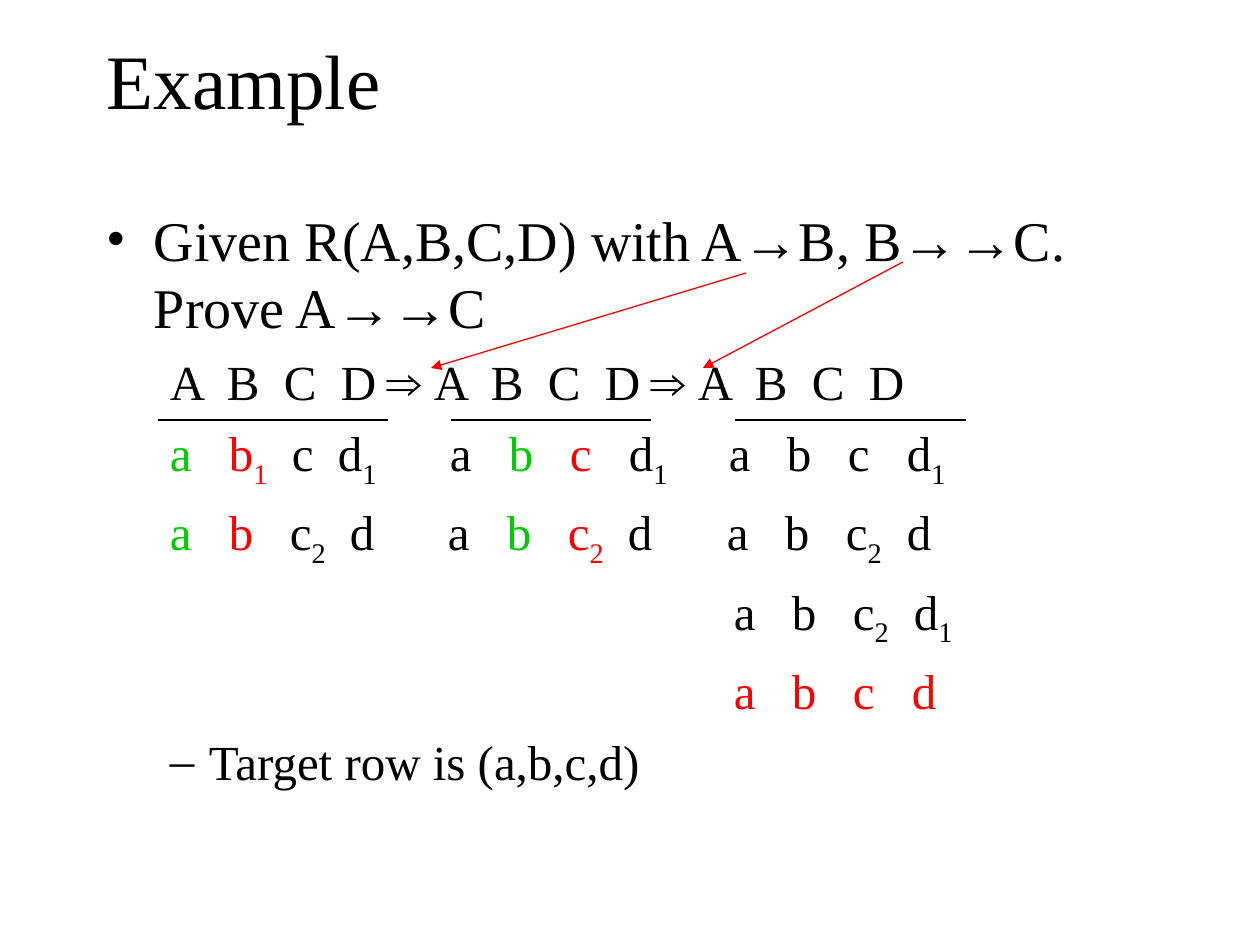
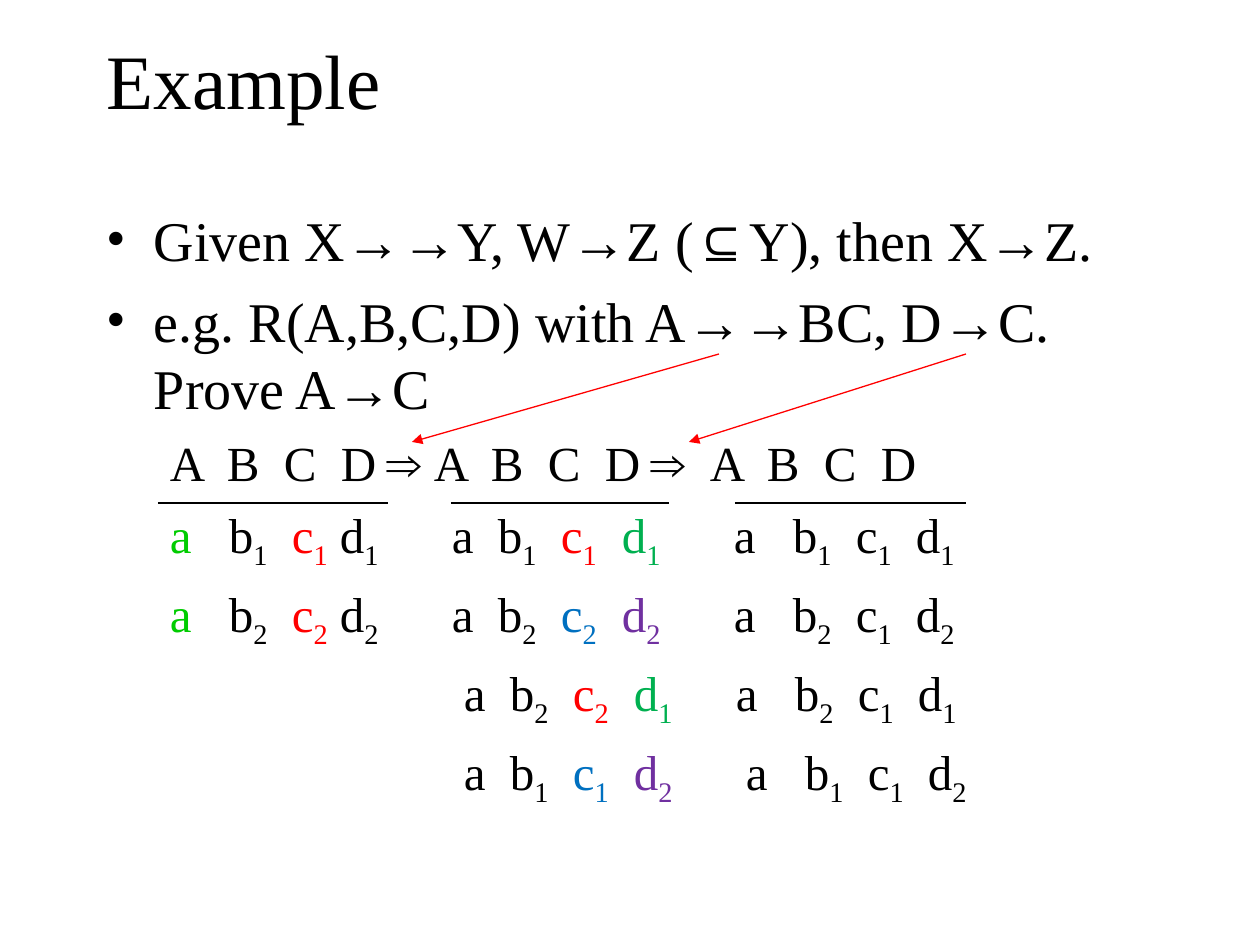
from itertools import groupby

from lxml.etree import SubElement
from pptx import Presentation
from pptx.dml.color import RGBColor
from pptx.enum.shapes import MSO_CONNECTOR
from pptx.enum.text import MSO_ANCHOR
from pptx.oxml.ns import qn
from pptx.util import Emu, Pt

# Lengths are whole px, 126 to the inch
PX = 914400 // 126
SLIDE_W, SLIDE_H = 1260, 945
BOX_LEFT, BOX_W = 95, 1071
TITLE_TOP, TITLE_H = 0, 158
BODY_TOP, BODY_H = 199, 640
INSET_X, INSET_Y = 12, 6

BLACK = RGBColor(0x00, 0x00, 0x00)
RED = RGBColor(0xFF, 0x00, 0x00)
LIME = RGBColor(0x00, 0xCC, 0x00)
GREEN = RGBColor(0x00, 0xB0, 0x50)
BLUE = RGBColor(0x00, 0x70, 0xC0)
PURPLE = RGBColor(0x70, 0x30, 0xA0)
HUES = {"": BLACK, "r": RED, "l": LIME, "g": GREEN, "b": BLUE, "p": PURPLE}

TEXT_FONT, SYMBOL_FONT = "Times New Roman", "Arial"
SYMBOLS = "→⇒⊆"
TITLE_PT, POINT_PT, ROW_PT = 44, 32, 28

# Column offsets inside a tableau
HEADING_COLS = (0, 57, 114, 171, 217)
ROW_COLS = (0, 59, 122, 182)


def px(length):
    return Emu(length * PX)


def add_runs(para, text, size, color=BLACK, subscript=False):
    """Add text to a paragraph, with symbols in their own font."""
    for is_symbol, chars in groupby(text, lambda char: char in SYMBOLS):
        run = para.add_run()
        run.text = "".join(chars)
        run.font.name = SYMBOL_FONT if is_symbol else TEXT_FONT
        run.font.size = Pt(size)
        run.font.color.rgb = color
        if subscript:
            run.font._element.set("baseline", "-25000")


def add_frame(slide, top, height, anchor):
    box = slide.shapes.add_textbox(px(BOX_LEFT), px(top), px(BOX_W), px(height))
    frame = box.text_frame
    frame.word_wrap = True
    frame.vertical_anchor = anchor
    frame.margin_left = frame.margin_right = px(INSET_X)
    frame.margin_top = frame.margin_bottom = px(INSET_Y)
    return frame


def next_para(frame, space_before):
    first = frame.paragraphs[0]
    para = frame.add_paragraph() if first.runs else first
    para.space_before = Pt(space_before)
    return para


def add_bullet(frame, text, mark, size, space_before, margin, hang):
    para = next_para(frame, space_before)
    props = para._p.get_or_add_pPr()
    props.set("marL", str(px(margin)))
    props.set("indent", str(px(-hang)))
    mark_color = SubElement(props, qn("a:buClr"))
    SubElement(mark_color, qn("a:srgbClr"), val=str(BLACK))
    SubElement(props, qn("a:buFont"), typeface=TEXT_FONT)
    SubElement(props, qn("a:buChar"), char=mark)
    add_runs(para, text, size)


def add_point(frame, text):
    add_bullet(frame, text, "•", POINT_PT, 8, 47, 47)


def add_subpoint(frame, text):
    add_bullet(frame, text, "–", ROW_PT, 7, 102, 39)


def add_row(frame, *tableaux):
    """Each tableau is (left, columns, cells); a cell is letter, index, .hue."""
    para = next_para(frame, 7)
    props = para._p.get_or_add_pPr()
    SubElement(props, qn("a:buNone"))
    stops = SubElement(props, qn("a:tabLst"))
    for left, columns, cells in tableaux:
        for offset, cell in zip(columns, cells.split()):
            stop = left + offset - BOX_LEFT - INSET_X
            SubElement(stops, qn("a:tab"), pos=str(px(stop)), algn="l")
            name, _, hue = cell.partition(".")
            add_runs(para, "\t" + name[0], ROW_PT, HUES[hue])
            if name[1:]:
                add_runs(para, name[1:], ROW_PT, HUES[hue], subscript=True)


def add_headings(frame, lefts):
    arrows = (" ⇒", " ⇒", "")
    add_row(frame, *((left, HEADING_COLS, "A B C D" + arrow)
                     for left, arrow in zip(lefts, arrows)))


def add_line(slide, start, end, color, arrow=False):
    line = slide.shapes.add_connector(
        MSO_CONNECTOR.STRAIGHT, *(px(value) for value in (*start, *end)))
    line.line.color.rgb = color
    line.line.width = Pt(0.75)
    if arrow:
        SubElement(line.line._get_or_add_ln(), qn("a:tailEnd"), type="triangle")
    SubElement(line._element.spPr, qn("a:effectLst"))


def add_rules(slide, y, second_end):
    """Underline the headings of the three tableaux."""
    for left, right in ((158, 388), (451, second_end), (735, 966)):
        add_line(slide, (left, y), (right, y), BLACK)


def start_slide(deck):
    """Add a slide with the shared title; return it with its body frame."""
    slide = deck.slides.add_slide(deck.slide_layouts[6])
    title = add_frame(slide, TITLE_TOP, TITLE_H, MSO_ANCHOR.MIDDLE)
    add_runs(title.paragraphs[0], "Example", TITLE_PT)
    return slide, add_frame(slide, BODY_TOP, BODY_H, MSO_ANCHOR.TOP)


def build_transitivity(deck):
    slide, body = start_slide(deck)
    add_point(body, "Given R(A,B,C,D) with A→B, B→→C. Prove A→→C")

    # Chase steps
    add_headings(body, (170, 434, 698))
    add_row(body,
            (170, (0, 59, 122, 168), "a.l b1.r c d1"),
            (450, (0, 59, 120, 179), "a b.l c.r d1"),
            (729, (0, 58, 119, 178), "a b c d1"))
    add_row(body,
            (170, (0, 59, 120, 180), "a.l b.r c2 d"),
            (448, (0, 59, 120, 180), "a b.l c2.r d"),
            (727, (0, 58, 119, 180), "a b c2 d"))
    add_row(body, (734, (0, 58, 119, 180), "a b c2 d1"))
    add_row(body, (734, (0, 58, 119, 178), "a.r b.r c.r d.r"))
    add_subpoint(body, "Target row is (a,b,c,d)")

    # Heading rules, and arrows from each dependency to its step
    add_rules(slide, 420, 651)
    add_line(slide, (746, 273), (431, 368), RED, arrow=True)
    add_line(slide, (903, 262), (703, 368), RED, arrow=True)


def build_coalescence(deck):
    slide, body = start_slide(deck)
    add_point(body, "Given X→→Y, W→Z (⊆Y), then X→Z.")
    add_point(body, "e.g. R(A,B,C,D) with A→→BC, D→C. Prove A→C")

    # Chase steps
    first_cols, second_cols = (0, 59, 122, 170), (0, 46, 109, 170)
    add_headings(body, (170, 434, 710))
    add_row(body,
            (170, first_cols, "a.l b1 c1.r d1"),
            (452, second_cols, "a b1 c1.r d1.g"),
            (734, ROW_COLS, "a b1 c1 d1"))
    add_row(body,
            (170, first_cols, "a.l b2 c2.r d2"),
            (452, second_cols, "a b2 c2.b d2.p"),
            (734, ROW_COLS, "a b2 c1 d2"))
    add_row(body,
            (464, second_cols, "a b2 c2.r d1.g"),
            (736, ROW_COLS, "a b2 c1 d1"))
    add_row(body,
            (464, second_cols, "a b1 c1.b d2.p"),
            (746, ROW_COLS, "a b1 c1 d2"))

    # Heading rules, and arrows from each dependency to its step
    add_rules(slide, 503, 669)
    add_line(slide, (719, 354), (412, 442), RED, arrow=True)
    add_line(slide, (966, 354), (689, 442), RED, arrow=True)


def main():
    deck = Presentation()
    deck.slide_width, deck.slide_height = px(SLIDE_W), px(SLIDE_H)
    build_transitivity(deck)
    build_coalescence(deck)
    deck.save("out.pptx")


if __name__ == "__main__":
    main()
